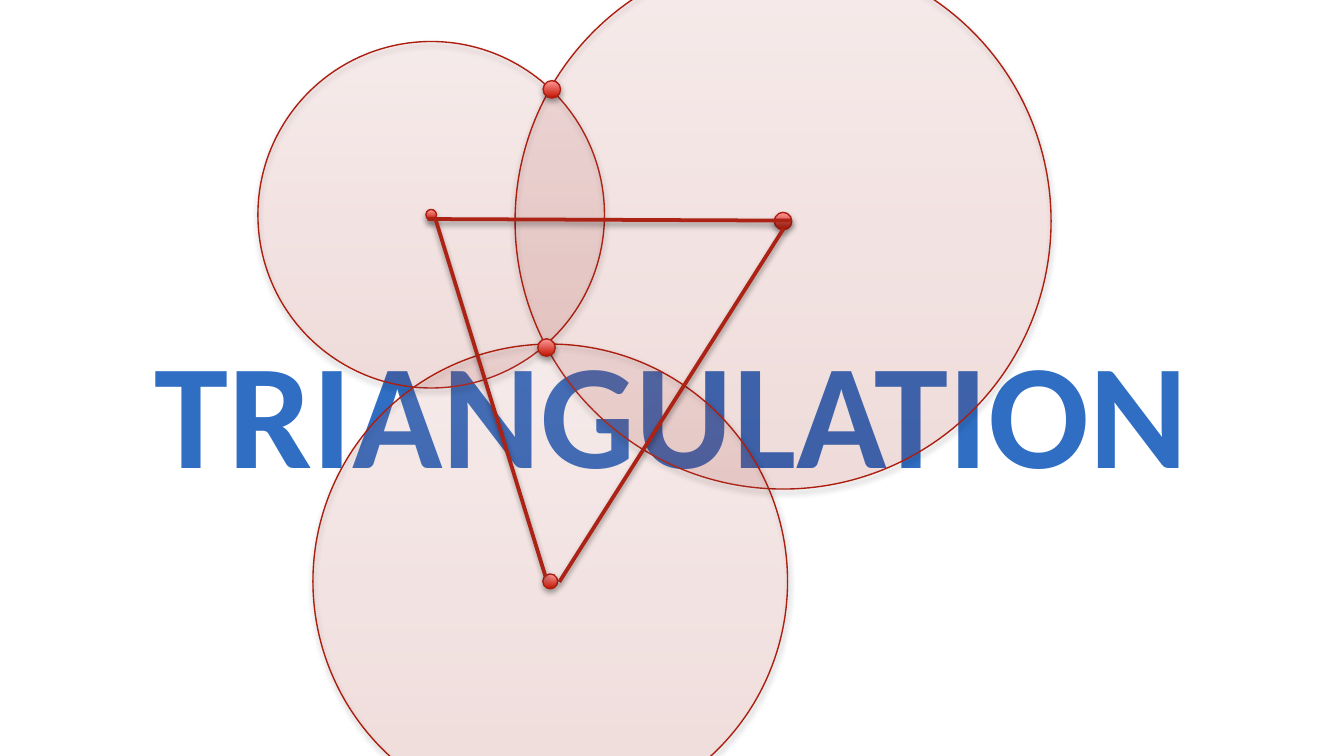
from typing import NamedTuple

from lxml.etree import SubElement
from pptx import Presentation
from pptx.dml.color import RGBColor
from pptx.enum.shapes import MSO_CONNECTOR as Connector, MSO_SHAPE as Shape
from pptx.enum.text import MSO_ANCHOR as Anchor, MSO_AUTO_SIZE as AutoSize, PP_ALIGN as Align
from pptx.oxml.ns import qn
from pptx.util import Cm, Pt

BLUE = RGBColor(0x2F, 0x6E, 0xC3)
DEEP_RED = RGBColor(0xC0, 0x12, 0x00)
PALE_RED = RGBColor(0xFF, 0x9A, 0x99)
OUTLINE_RED = RGBColor(0xAC, 0x1E, 0x10)
SIDE_RED = RGBColor(0xAC, 0x22, 0x14)
BLACK = RGBColor(0, 0, 0)
RANGE_OPACITY = 11


class Point(NamedTuple):
    x: float
    y: float


class Station(NamedTuple):
    center: Point
    range_size: float
    dot_size: float


class Side(NamedTuple):
    start: Point
    end: Point


# Measurements in centimetres
STATIONS = [
    Station(Point(8.15, 4.06), 6.55, 0.2),
    Station(Point(14.8, 4.18), 10.13, 0.33),
    Station(Point(10.4, 10.99), 8.97, 0.28),
]
CROSSINGS = [Point(10.43, 1.69), Point(10.33, 6.57)]
CROSSING_SIZE = 0.33
SIDES = [
    Side(Point(8.08, 4.14), Point(14.96, 4.17)),
    Side(Point(8.23, 4.14), Point(10.31, 10.9)),
    Side(Point(10.57, 11), Point(14.81, 4.32)),
]


def apply_format(target, values: dict) -> None:
    for name, value in values.items():
        setattr(target, name, value)


def add_shadow(shape, distance: float, opacity: int) -> None:
    effects = SubElement(shape._element.spPr, qn("a:effectLst"))
    shadow = SubElement(effects, qn("a:outerShdw"), blurRad=str(Pt(3.1)),
                        dist=str(Pt(distance)), dir="5400000", rotWithShape="0")
    color = SubElement(shadow, qn("a:srgbClr"), val=str(BLACK))
    SubElement(color, qn("a:alpha"), val=str(opacity * 1000))


def add_circle(shapes, center: Point, size: float, opacity: int = 100) -> None:
    circle = shapes.add_shape(Shape.OVAL, Cm(center.x - size / 2),
                              Cm(center.y - size / 2), Cm(size), Cm(size))
    circle.fill.gradient()
    circle.fill.gradient_angle = 90
    for stop, color in zip(circle.fill.gradient_stops, (DEEP_RED, PALE_RED)):
        stop.color.rgb = color
    if opacity < 100:
        for color in circle._element.spPr.iter(qn("a:srgbClr")):
            SubElement(color, qn("a:alpha"), val=str(opacity * 1000))
    circle.line.color.rgb = OUTLINE_RED
    circle.line.width = Pt(0.75)
    add_shadow(circle, 1.8, 35)


def add_side(shapes, side: Side) -> None:
    line = shapes.add_connector(Connector.STRAIGHT, Cm(side.start.x), Cm(side.start.y),
                                Cm(side.end.x), Cm(side.end.y))
    line.line.color.rgb = SIDE_RED
    line.line.width = Pt(2)
    add_shadow(line, 1.6, 38)


deck = Presentation()
apply_format(deck, {"slide_width": Cm(25.4), "slide_height": Cm(14.29)})
page = deck.slides.add_slide(deck.slide_layouts[5])

# Title, lowered by its top inset
title = page.shapes.title
apply_format(title, {"left": 0, "top": 0, "width": deck.slide_width,
                     "height": deck.slide_height})
apply_format(title.text_frame, {"auto_size": AutoSize.NONE, "word_wrap": True,
                                "vertical_anchor": Anchor.MIDDLE, "margin_top": Cm(1.3)})
para = title.text_frame.paragraphs[0]
para.alignment = Align.CENTER
span = para.add_run()
span.text = "TRIANGULATION"
apply_format(span.font, {"name": "Calibri", "size": Pt(80), "bold": True})
span.font.color.rgb = BLUE

# Stations with their ranges
for station in STATIONS:
    group = page.shapes.add_group_shape()
    add_circle(group.shapes, station.center, station.range_size, RANGE_OPACITY)
    add_circle(group.shapes, station.center, station.dot_size)

# Points where the ranges cross
for crossing in CROSSINGS:
    add_circle(page.shapes, crossing, CROSSING_SIZE)

# Triangle between the stations
triangle = page.shapes.add_group_shape()
for side in SIDES:
    add_side(triangle.shapes, side)

deck.save("out.pptx")
